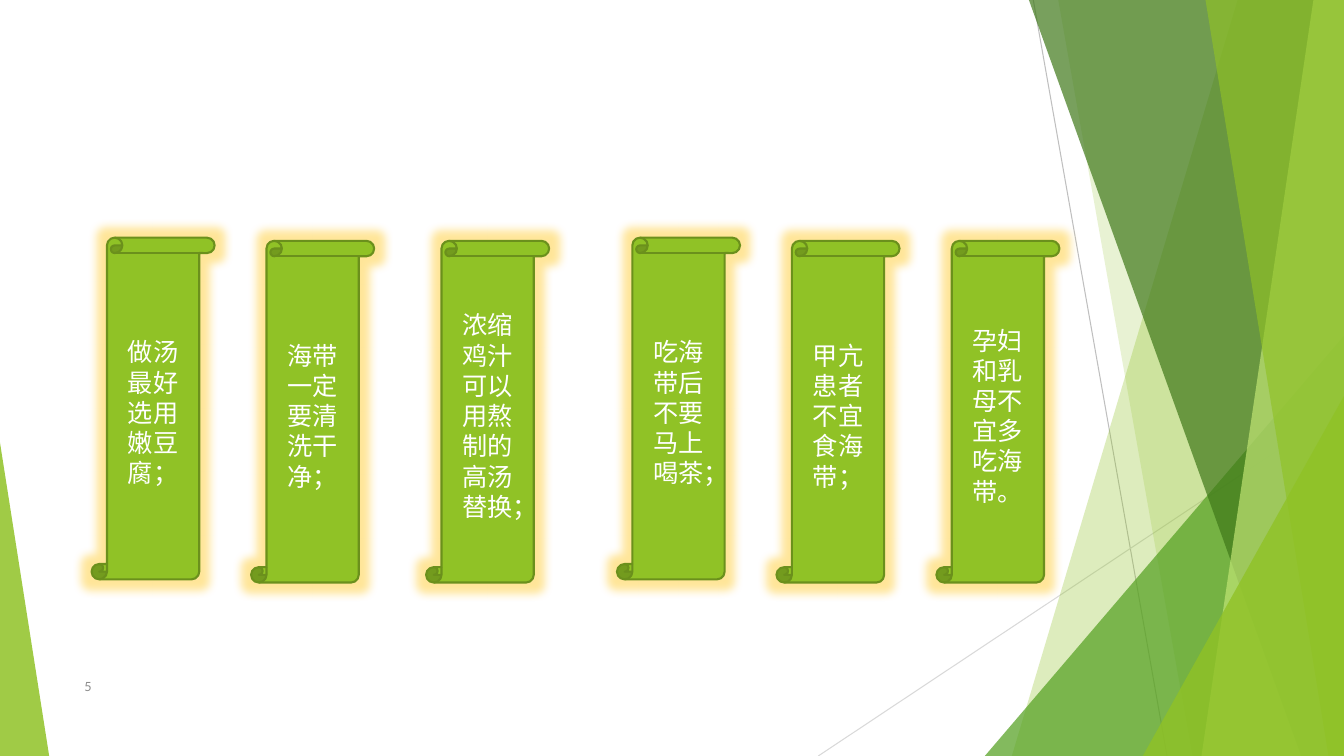
from lxml.etree import SubElement
from pptx import Presentation
from pptx.dml.color import RGBColor
from pptx.enum.shapes import MSO_CONNECTOR, MSO_SHAPE
from pptx.enum.text import MSO_ANCHOR, PP_ALIGN
from pptx.oxml.ns import qn
from pptx.util import Cm, Pt

WIDTH, HEIGHT = 33.87, 19.05


def paint(color_format, color, alpha=None):
    color_format.rgb = RGBColor.from_string(color)
    if alpha is not None:
        element = color_format._xFill.find(qn("a:srgbClr"))
        SubElement(element, qn("a:alpha"), val=str(alpha * 1000))


def write(shape, text, size, color, alignment):
    frame = shape.text_frame
    frame.word_wrap = True
    frame.vertical_anchor = MSO_ANCHOR.MIDDLE
    paragraph = frame.paragraphs[0]
    paragraph.text = text
    paragraph.alignment = alignment
    font = paragraph.runs[0].font
    for name, value in {"name": "Lato", "size": Pt(size)}.items():
        setattr(font, name, value)
    paint(font.color, color)


presentation = Presentation()
presentation.slide_width = Cm(WIDTH)
presentation.slide_height = Cm(HEIGHT)
slide = presentation.slides.add_slide(presentation.slide_layouts[6])
shapes = slide.shapes

rays = [
    (26.04, 0, 29.41, HEIGHT, "BFBFBF"),
    (WIDTH, 10.24, 20.62, HEIGHT, "D9D9D9"),
]
for start_x, start_y, end_x, end_y, color in rays:
    ray = shapes.add_connector(
        MSO_CONNECTOR.STRAIGHT, Cm(start_x), Cm(start_y), Cm(end_x), Cm(end_y)
    )
    ray.line.width = Pt(0.75)
    paint(ray.line.color, color)
    SubElement(ray._element.spPr, qn("a:effectLst"))

facets = [
    ("band", (31.19, 25.5), "90C226", 30),
    ("band", (26.67, 30.05), "90C226", 20),
    ("triangle", (24.82, 8.46, 9.05, 1), "54A021", 72),
    ("band", (25.93, 32.79), "3F7819", 70),
    ("band", (33.1, 30.28), "C0E474", 70),
    ("band", (30.38, 33.48), "90C226", 65),
    ("triangle", (28.8, 9.98, 5.07, 1), "90C226", 80),
    ("triangle", (0, 11.15, 1.24, 0), "90C226", 85),
]
for kind, geometry, color, alpha in facets:
    if kind == "band":
        top_left, bottom_left = geometry
        builder = shapes.build_freeform(Cm(top_left), 0)
        corners = [(WIDTH, 0), (WIDTH, HEIGHT), (bottom_left, HEIGHT)]
        builder.add_line_segments([(Cm(x), Cm(y)) for x, y in corners], close=True)
        facet = builder.convert_to_shape()
    else:
        left, top, width, apex = geometry
        facet = shapes.add_shape(
            MSO_SHAPE.ISOSCELES_TRIANGLE, Cm(left), Cm(top), Cm(width), Cm(HEIGHT - top)
        )
        facet.adjustments[0] = apex
    facet.shadow.inherit = False
    facet.fill.solid()
    paint(facet.fill.fore_color, color, alpha)
    facet.line.fill.background()

scrolls = [
    (2.31, 5.99, "做汤最好选用嫩豆腐；"),
    (6.33, 6.07, "海带一定要清洗干净；"),
    (10.74, 6.07, "浓缩鸡汁可以用熬制的高汤替换；"),
    (15.55, 5.99, "吃海带后不要马上喝茶；"),
    (19.57, 6.07, "甲亢患者不宜食海带；"),
    (23.6, 6.07, "孕妇和乳母不宜多吃海带。"),
]
for left, top, tip in scrolls:
    scroll = shapes.add_shape(
        MSO_SHAPE.VERTICAL_SCROLL, Cm(left), Cm(top), Cm(3.1), Cm(8.61)
    )
    scroll.fill.solid()
    paint(scroll.fill.fore_color, "90C226")
    scroll.line.width = Pt(1.5)
    paint(scroll.line.color, "6B901C")
    scroll.shadow.inherit = False
    effects = scroll._element.spPr.find(qn("a:effectLst"))
    glow = SubElement(effects, qn("a:glow"), rad=str(Cm(0.45)))
    glow_color = SubElement(glow, qn("a:srgbClr"), val="FFC000")
    SubElement(glow_color, qn("a:alpha"), val="40000")
    write(scroll, tip, 18, "FFFFFF", PP_ALIGN.CENTER)

slide_number = shapes.add_textbox(Cm(1.88), Cm(16.79), Cm(17.5), Cm(1.02))
write(slide_number, "5", 9, "8C8C8C", PP_ALIGN.LEFT)

presentation.save("out.pptx")
